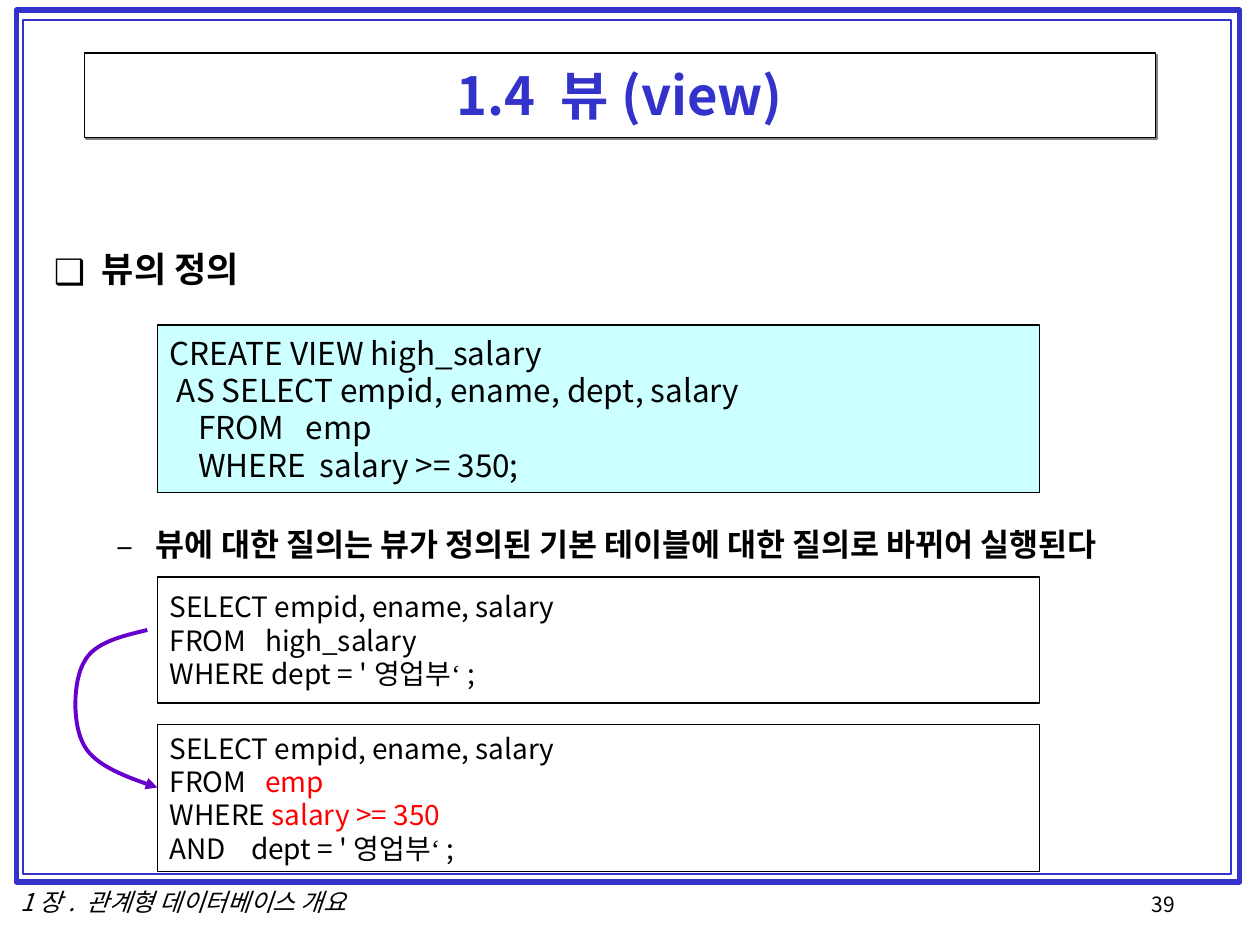
from lxml.etree import SubElement
from pptx import Presentation
from pptx.dml.color import RGBColor
from pptx.enum.shapes import MSO_SHAPE
from pptx.enum.text import MSO_ANCHOR, PP_ALIGN
from pptx.oxml.ns import qn
from pptx.util import Inches, Pt

COLORS = {
    "text": "000000",
    "paper": "FFFFFF",
    "frame": "3333CC",
    "code": "CCFFFF",
    "changed": "FF0000",
    "arrow": "6600CC",
    "shadow": "808080",
}
FONT = "Noto Sans CJK KR"
QUOTE_FONT = "Times New Roman"
LINE_HEIGHT = 1.19


def color(name):
    return RGBColor.from_string(COLORS[name])


def curve_points(start, segments, steps=16):
    """Points along a chain of cubic Bezier segments, after the start point."""
    points = []
    for first, second, end in segments:
        for step in range(1, steps + 1):
            t = step / steps
            u = 1 - t
            points.append(tuple(
                u**3 * a + 3 * u * u * t * b + 3 * u * t * t * c + t**3 * d
                for a, b, c, d in zip(start, first, second, end)))
        start = end
    return points


class SlideBuilder:
    def __init__(self, page):
        self.page = page

    def rectangle(self, left, top, width, height, fill=None, line="text", weight=0.75):
        box = self.page.shapes.add_shape(
            MSO_SHAPE.RECTANGLE, Inches(left), Inches(top), Inches(width), Inches(height))
        box.shadow.inherit = False
        if fill:
            box.fill.solid()
            box.fill.fore_color.rgb = color(fill)
        else:
            box.fill.background()
        box.line.color.rgb = color(line)
        box.line.width = Pt(weight)
        return box

    def set_lines(self, box, lines, size, ink="text", bold=False, italic=False,
                  align=PP_ALIGN.LEFT, wrap=True):
        """Fill a box with lines; a line is a list of (text, color, font) spans."""
        frame = box.text_frame
        frame.word_wrap = wrap
        for number, line in enumerate(lines):
            para = frame.add_paragraph() if number else frame.paragraphs[0]
            para.alignment = align
            para.line_spacing = Pt(round(size * LINE_HEIGHT, 1))
            for text, span_ink, font in line:
                span = para.add_run()
                span.text = text
                span.font.size = Pt(size)
                span.font.bold = bold
                span.font.italic = italic
                span.font.name = font
                span.font.color.rgb = color(span_ink or ink)
                SubElement(span._r.get_or_add_rPr(), qn("a:ea"), typeface=font)

    def label(self, left, top, width, height, text, size, **style):
        box = self.page.shapes.add_textbox(
            Inches(left), Inches(top), Inches(width), Inches(height))
        self.set_lines(box, [[plain(text)]], size, **style)
        return box

    def bullet(self, top, text, size, mark, margin, hanging):
        box = self.label(0.33, top, 9.33, 0.42, text, size, bold=True)
        properties = box.text_frame.paragraphs[0]._p.get_or_add_pPr()
        properties.set("marL", str(Inches(margin)))
        properties.set("indent", str(-Inches(hanging)))
        bullet_color = SubElement(properties, qn("a:buClr"))
        SubElement(bullet_color, qn("a:srgbClr"), val=COLORS["text"])
        SubElement(properties, qn("a:buFont"), typeface=FONT)
        SubElement(properties, qn("a:buChar"), char=mark)

    def title(self, text):
        box = self.rectangle(0.67, 0.42, 8.5, 0.67, fill="paper")
        box.text_frame.vertical_anchor = MSO_ANCHOR.MIDDLE
        self.set_lines(box, [[plain(text)]], 30, ink="frame", bold=True,
                       align=PP_ALIGN.CENTER)
        effects = box._element.spPr.find(qn("a:effectLst"))
        shadow = SubElement(effects, qn("a:outerShdw"), dist=str(Pt(1.4)),
                            dir="2700000", algn="ctr", rotWithShape="0")
        SubElement(shadow, qn("a:srgbClr"), val=COLORS["shadow"])

    def code(self, top, height, lines, size, fill="paper"):
        box = self.rectangle(1.25, top, 7, height, fill=fill)
        box.text_frame.vertical_anchor = MSO_ANCHOR.MIDDLE
        self.set_lines(box, lines, size)

    def curved_arrow(self, start, segments):
        builder = self.page.shapes.build_freeform(
            Inches(start[0]), Inches(start[1]))
        builder.add_line_segments(
            [(Inches(x), Inches(y)) for x, y in curve_points(start, segments)],
            close=False)
        arrow = builder.convert_to_shape()
        arrow.shadow.inherit = False
        arrow.fill.background()
        arrow.line.color.rgb = color("arrow")
        arrow.line.width = Pt(2.25)
        outline = arrow._element.spPr.find(qn("a:ln"))
        SubElement(outline, qn("a:tailEnd"), type="triangle")


def plain(text):
    return text, None, FONT


def changed(text):
    return text, "changed", FONT


def department(keyword):
    return [plain(keyword + "dept = '영업부"), ("‘", None, QUOTE_FONT), plain(";")]


def main():
    deck = Presentation()
    deck.slide_width, deck.slide_height = Inches(10), Inches(7.5)
    slide = SlideBuilder(deck.slides.add_slide(deck.slide_layouts[6]))

    slide.label(9.04, 7.03, 0.9, 0.33, "39", 12)
    slide.label(0.05, 6.99, 2.81, 0.34, "1장. 관계형 데이터베이스 개요", 14,
                italic=True, align=PP_ALIGN.CENTER, wrap=False)
    slide.rectangle(0.13, 0.08, 9.71, 6.92, line="frame", weight=3)
    slide.rectangle(0.18, 0.16, 9.59, 6.78, line="frame", weight=1)

    slide.title("1.4 뷰(view)")
    slide.bullet(1.92, "뷰의 정의", 20, "❑", 0.38, 0.38)
    slide.bullet(4.12, "뷰에 대한 질의는 뷰가 정의된 기본 테이블에 대한 질의로 바뀌어 실행된다",
                 18, "–", 0.81, 0.31)

    select = [plain("SELECT empid, ename, salary")]
    slide.code(2.58, 1.33, [
        [plain("CREATE VIEW high_salary")],
        [plain(" AS SELECT empid, ename, dept, salary")],
        [plain("    FROM   emp")],
        [plain("    WHERE  salary >= 350;")],
    ], 18, fill="code")
    slide.code(4.58, 1, [
        select,
        [plain("FROM   high_salary")],
        department("WHERE "),
    ], 16)
    slide.code(5.75, 1.17, [
        select,
        [plain("FROM   "), changed("emp")],
        [plain("WHERE "), changed("salary >= 350")],
        department("AND    "),
    ], 16)

    slide.curved_arrow((1.17, 5), [
        ((0.96, 5.05), (0.75, 5.1), (0.67, 5.25)),
        ((0.58, 5.4), (0.57, 5.75), (0.67, 5.92)),
        ((0.76, 6.08), (1.01, 6.17), (1.25, 6.25)),
    ])
    deck.save("out.pptx")


if __name__ == "__main__":
    main()
